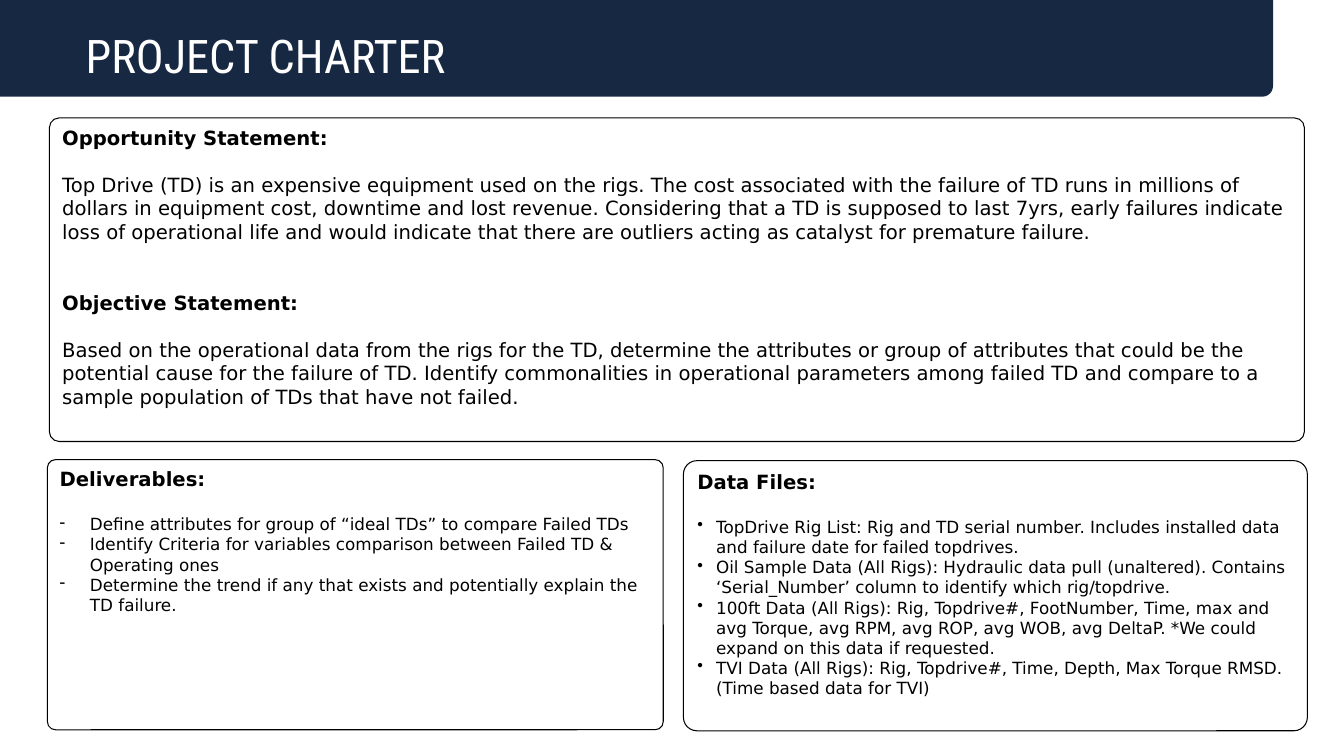
from dataclasses import dataclass

from lxml import etree
from pptx import Presentation
from pptx.dml.color import RGBColor
from pptx.enum.shapes import MSO_SHAPE
from pptx.enum.text import MSO_ANCHOR, MSO_AUTO_SIZE, PP_ALIGN
from pptx.oxml.ns import qn
from pptx.util import Pt

LEFT = PP_ALIGN.LEFT
TOP = MSO_ANCHOR.TOP
MIDDLE = MSO_ANCHOR.MIDDLE
NO_AUTOFIT = MSO_AUTO_SIZE.NONE
ROUNDED = MSO_SHAPE.ROUNDED_RECTANGLE
ONE_ROUND_CORNER = MSO_SHAPE.ROUND_1_RECTANGLE
TITLE_ONLY = 5


@dataclass(frozen=True)
class Theme:
    navy: RGBColor = RGBColor(0x17, 0x28, 0x43)
    white: RGBColor = RGBColor(0xFF, 0xFF, 0xFF)
    black: RGBColor = RGBColor(0, 0, 0)
    title_font: str = "Roboto Condensed"
    body_font: str = "DejaVu Sans"
    title_size: float = 33.1
    text_size: float = 14
    list_size: float = 12
    outline: float = 0.75
    line_gap: float = 16.8


THEME = Theme()

STATEMENTS = [
    ("Opportunity Statement:",
     "Top Drive (TD) is an expensive equipment used on the rigs. The cost associated with "
     "the failure of TD runs in millions of dollars in equipment cost, downtime and lost "
     "revenue. Considering that a TD is supposed to last 7yrs, early failures indicate loss "
     "of operational life and would indicate that there are outliers acting as catalyst for "
     "premature failure."),
    ("Objective Statement:",
     "Based on the operational data from the rigs for the TD, determine the attributes or "
     "group of attributes that could be the potential cause for the failure of TD. Identify "
     "commonalities in operational parameters among failed TD and compare to a sample "
     "population of TDs that have not failed."),
]
DELIVERABLES = [
    "Define attributes for group of “ideal TDs” to compare Failed TDs",
    "Identify Criteria for variables comparison between Failed TD & Operating ones",
    "Determine the trend if any that exists and potentially explain the TD failure.",
]
DATA_FILES = [
    "TopDrive Rig List: Rig and TD serial number. Includes installed data and failure date "
    "for failed topdrives.",
    "Oil Sample Data (All Rigs): Hydraulic data pull (unaltered). Contains ‘Serial_Number’ "
    "column to identify which rig/topdrive.",
    "100ft Data (All Rigs): Rig, Topdrive#, FootNumber, Time, max and avg Torque, avg RPM, "
    "avg ROP, avg WOB, avg DeltaP. *We could expand on this data if requested.",
    "TVI Data (All Rigs): Rig, Topdrive#, Time, Depth, Max Torque RMSD. (Time based data "
    "for TVI)",
]


def add_bullet(paragraph, character, indent):
    properties = paragraph._p.get_or_add_pPr()
    properties.set("marL", str(Pt(indent)))
    properties.set("indent", str(-Pt(indent)))
    etree.SubElement(properties, qn("a:buChar")).set("char", character)


def write(frame, text, size=THEME.text_size, font=THEME.body_font, color=THEME.black,
          bold=False, before=0, spacing=None, bullet=None, indent=0):
    """Fill the frame's empty first paragraph, or append a new one."""
    first = frame.paragraphs[0]
    paragraph = frame.add_paragraph() if first.runs else first
    if bullet:
        add_bullet(paragraph, bullet, indent)
    paragraph.alignment = LEFT
    paragraph.line_spacing = spacing
    if before:
        paragraph.space_before = Pt(before)
    run = paragraph.add_run()
    run.text = text
    run.font.size = Pt(size)
    run.font.name = font
    run.font.bold = bold
    run.font.color.rgb = color


def add_panel(slide, left, top, width, height, corner):
    """Add an outlined rounded box and return its text frame."""
    panel = slide.shapes.add_shape(ROUNDED, Pt(left), Pt(top), Pt(width), Pt(height))
    panel.adjustments[0] = corner
    panel.shadow.inherit = False
    panel.fill.background()
    panel.line.color.rgb = THEME.black
    panel.line.width = Pt(THEME.outline)
    frame = panel.text_frame
    frame.word_wrap = True
    frame.vertical_anchor = TOP
    return frame


def add_list(frame, heading, items, bullet, indent):
    write(frame, heading, bold=True)
    for index, item in enumerate(items):
        write(frame, item, size=THEME.list_size, bullet=bullet, indent=indent,
              before=0 if index else THEME.line_gap)


def add_statements(frame, statements):
    for index, (heading, body) in enumerate(statements):
        write(frame, heading, bold=True, before=2 * THEME.line_gap if index else 0)
        write(frame, body, before=THEME.line_gap)


def add_header(slide, text):
    band = slide.shapes.add_shape(ONE_ROUND_CORNER, 0, 0, Pt(909.36), Pt(69.12))
    band.adjustments[0] = 0.11
    band._element.spPr.get_or_add_xfrm().set("flipV", "1")
    band.shadow.inherit = False
    band.fill.solid()
    band.fill.fore_color.rgb = THEME.navy
    band.line.fill.background()

    title = slide.shapes.title
    title._element.addprevious(band._element)
    title.left, title.top, title.width, title.height = Pt(54), Pt(18.72), Pt(739.44), Pt(46.08)
    frame = title.text_frame
    frame.word_wrap = True
    frame.auto_size = NO_AUTOFIT
    frame.vertical_anchor = MIDDLE
    write(frame, text, size=THEME.title_size, font=THEME.title_font, color=THEME.white,
          spacing=0.9)


def main():
    presentation = Presentation()
    presentation.slide_width, presentation.slide_height = Pt(960), Pt(540)
    slide = presentation.slides.add_slide(presentation.slide_layouts[TITLE_ONLY])
    add_header(slide, "PROJECT CHARTER")
    add_statements(add_panel(slide, 35.28, 84.24, 896.4, 231.12, corner=0.03), STATEMENTS)
    add_list(add_panel(slide, 33.84, 328.32, 439.92, 192.96, corner=0.03),
             "Deliverables:", DELIVERABLES, bullet="-", indent=21.6)
    add_list(add_panel(slide, 488.16, 329.04, 445.68, 192.96, corner=0.05),
             "Data Files:", DATA_FILES, bullet="•", indent=13.5)
    presentation.save("out.pptx")


if __name__ == "__main__":
    main()
